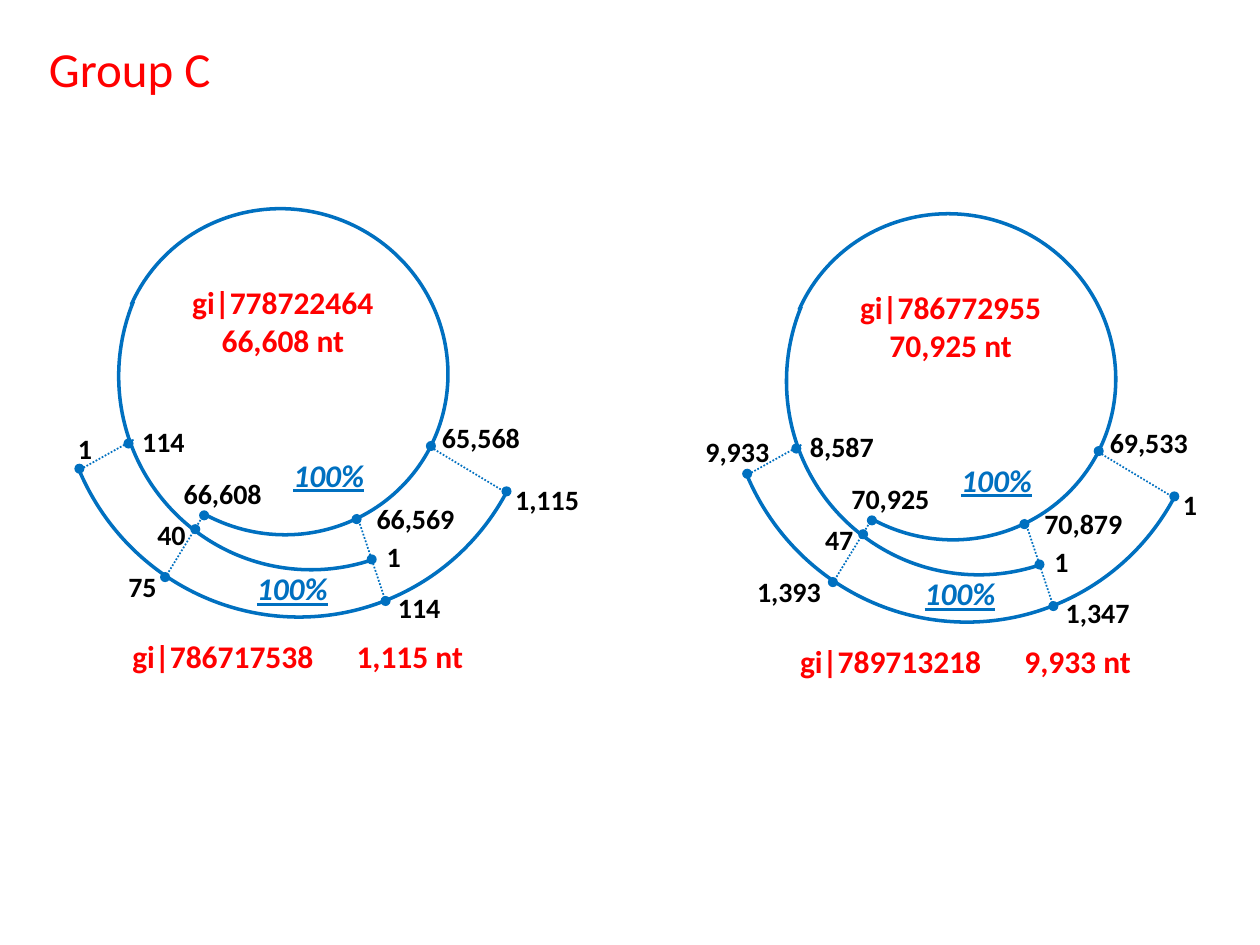
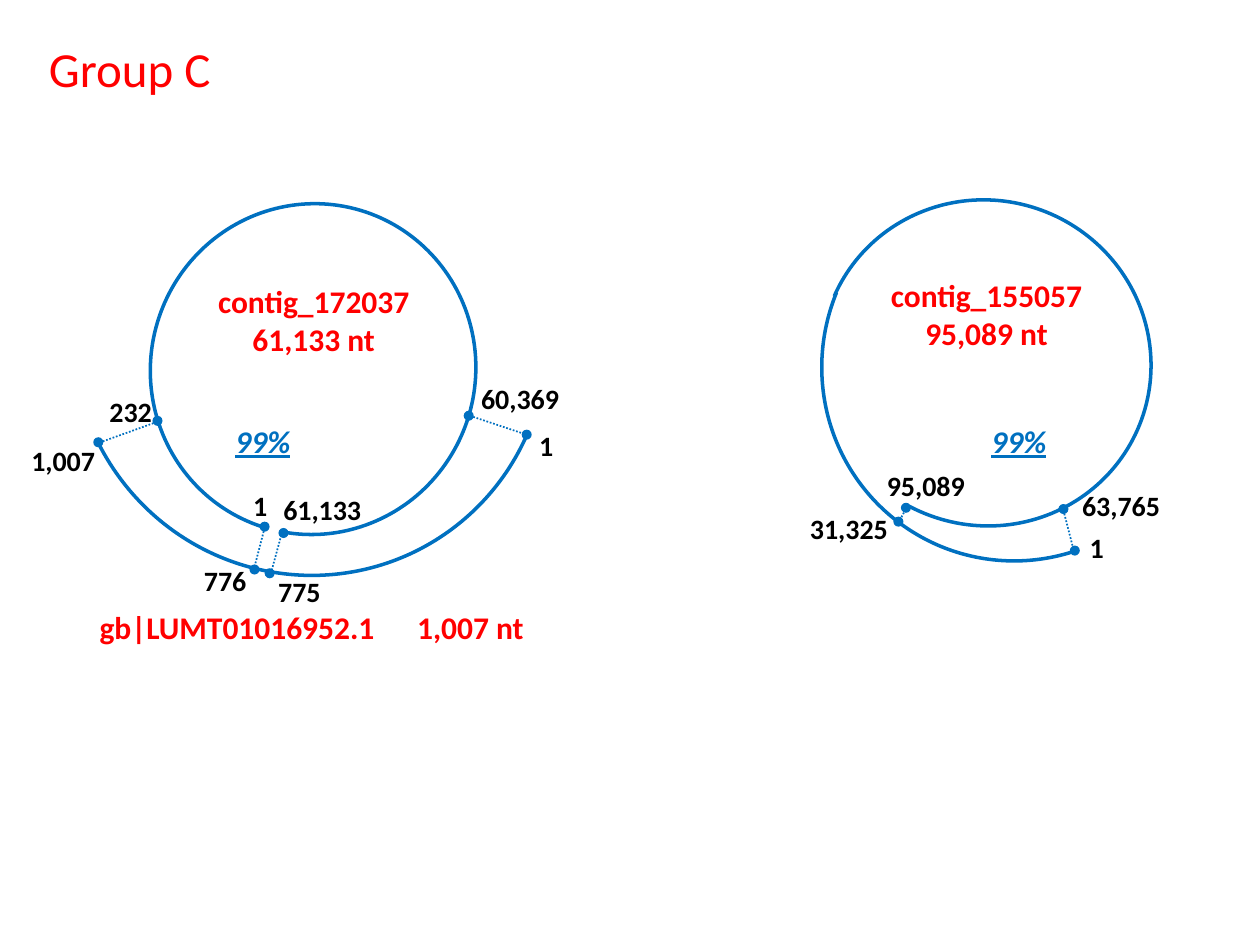
from pptx import Presentation
from pptx.dml.color import RGBColor
from pptx.enum.dml import MSO_LINE
from pptx.enum.shapes import MSO_CONNECTOR, MSO_SHAPE
from pptx.enum.text import MSO_AUTO_SIZE, PP_ALIGN
from pptx.oxml.ns import qn
from pptx.util import Pt
from lxml import etree

ARC, OVAL = MSO_SHAPE.ARC, MSO_SHAPE.OVAL
STRAIGHT = MSO_CONNECTOR.STRAIGHT
DOTTED = MSO_LINE.ROUND_DOT
FIT = MSO_AUTO_SIZE.SHAPE_TO_FIT_TEXT
LEFT, CENTER = PP_ALIGN.LEFT, PP_ALIGN.CENTER

BLUE = RGBColor(0x00, 0x70, 0xC0)
RED = RGBColor(0xFF, 0x00, 0x00)
BLACK = RGBColor(0x00, 0x00, 0x00)
FONT = "Calibri"
PX = 9144  # 100 px to the inch
DOT = 8

# Arc start and end, in the units of the shape's adjustments
CIRCLE_SWEEP = (51.45, 0)
OPEN_SWEEP = (3.02, 0)
OUTER_SWEEP = (162.93, 24.9)


def add_text(shapes, x, y, w, h, text, size, color, bold=True, align=LEFT, wrap=False):
    s = shapes.add_textbox(x * PX, y * PX, w * PX, h * PX)
    tf = s.text_frame
    tf.text = text
    tf.word_wrap = wrap
    tf.auto_size = FIT
    for p in tf.paragraphs:
        p.alignment = align
        for r in p.runs:
            r.font.name = FONT
            r.font.size = Pt(size)
            r.font.bold = bold
            r.font.color.rgb = color
    return s


# Two sequences that share one layout on the first slide
# arcs: x, y, width, height, rotation, sweep
pair_arcs = [
    (93, 166, 263, 258, 23.8, CIRCLE_SWEEP),
    (93, 144, 310, 307, 293.8, OUTER_SWEEP),
    (46, 112, 380, 376, 249.3, OUTER_SWEEP),
]
pair_dots = [(158, 405), (291, 440), (279, 408), (151, 416), (302, 473),
             (98, 348), (398, 386), (59, 368), (127, 454), (338, 350)]
pair_links = [(283, 408, 306, 477), (162, 408, 132, 457),
              (342, 355, 405, 393), (106, 349, 63, 373)]
pair_percents = [("100%", 223, 357), ("100%", 194, 447)]

first_slide = [
    dict(
        offset=(0, 0), arcs=pair_arcs, dots=pair_dots, links=pair_links,
        percents=pair_percents,
        name=("gi|778722464\n66,608 nt", 142, 220, 165),
        caption=("gi|786717538\t1,115 nt", 74, 501, 324, 31, 178),
        positions=[("66,569", 289, 393), ("66,608", 136, 373), ("40", 115, 406),
                   ("1", 297, 423), ("65,568", 341, 329), ("114", 103, 332),
                   ("1", 52, 338), ("75", 92, 447), ("114", 306, 464),
                   ("1,115", 399, 378)],
    ),
    dict(
        offset=(530, 4), arcs=pair_arcs, dots=pair_dots, links=pair_links,
        percents=pair_percents,
        name=("gi|786772955\n70,925 nt", 142, 220, 165),
        caption=("gi|789713218\t9,933 nt", 74, 501, 324, 31, 178),
        positions=[("70,879", 289, 393), ("70,925", 136, 373), ("47", 115, 406),
                   ("1", 297, 423), ("69,533", 341, 329), ("8,587", 103, 332),
                   ("9,933", 20, 336), ("1,393", 61, 447), ("1,347", 306, 464),
                   ("1", 399, 378)],
    ),
]

second_slide = [
    dict(
        offset=(0, 0),
        arcs=[(56, 79, 380, 376, 245.5, OUTER_SWEEP),
              (117, 164, 263, 258, 286.5, OPEN_SWEEP)],
        dots=[(206, 414), (210, 451), (221, 419), (198, 448),
              (121, 330), (414, 341), (74, 347), (368, 326)],
        links=[(224, 422, 215, 455), (210, 419, 202, 450),
               (373, 330, 418, 345), (127, 334, 77, 352)],
        percents=[("99%", 177, 330)],
        name=("contig_172037\n61,133 nt", 162, 219, 174),
        caption=("gb|LUMT01016952.1\t1,007 nt", 52, 478, 391, 27, 252),
        positions=[("61,133", 215, 386), ("1", 191, 383), ("776", 152, 442),
                   ("60,369", 372, 298), ("232", 77, 308), ("1,007", 15, 347),
                   ("775", 211, 451), ("1", 418, 335)],
    ),
    dict(
        offset=(0, 0),
        arcs=[(651, 159, 263, 258, 23.8, CIRCLE_SWEEP),
              (651, 137, 310, 307, 293.8, OUTER_SWEEP)],
        dots=[(715, 399), (849, 433), (840, 400), (709, 410)],
        links=[(844, 405, 853, 440), (720, 402, 713, 415)],
        percents=[("99%", 777, 330)],
        name=("contig_155057\n95,089 nt", 696, 214, 174),
        caption=None,
        positions=[("63,765", 849, 383), ("95,089", 694, 367),
                   ("31,325", 633, 401), ("1", 855, 416)],
    ),
]

prs = Presentation()
prs.slide_width = 1000 * PX
prs.slide_height = 750 * PX

for diagrams in (first_slide, second_slide):
    slide = prs.slides.add_slide(prs.slide_layouts[6])
    add_text(slide.shapes, 29, 26, 221, 57, "Group C", 28, RED, bold=False, wrap=True)

    for d in diagrams:
        shapes = slide.shapes.add_group_shape().shapes
        dx, dy = d["offset"]

        # Sequence arcs
        for x, y, w, h, rotation, sweep in d["arcs"]:
            s = shapes.add_shape(ARC, (x + dx) * PX, (y + dy) * PX, w * PX, h * PX)
            s.adjustments[0], s.adjustments[1] = sweep
            s.rotation = rotation
            s._element.spPr.find(qn("a:xfrm")).set("flipH", "1")
            s.shadow.inherit = False
            s.fill.background()
            s.line.color.rgb = BLUE
            s.line.width = Pt(2)

        # Match boundaries
        for x, y in d["dots"]:
            s = shapes.add_shape(OVAL, (x + dx) * PX, (y + dy) * PX, DOT * PX, DOT * PX)
            s.shadow.inherit = False
            s.fill.solid()
            s.fill.fore_color.rgb = BLUE
            s.line.fill.background()

        # Dotted links between matching positions
        for x1, y1, x2, y2 in d["links"]:
            s = shapes.add_connector(STRAIGHT, (x1 + dx) * PX, (y1 + dy) * PX,
                                     (x2 + dx) * PX, (y2 + dy) * PX)
            s.line.color.rgb = BLUE
            s.line.width = Pt(1)
            s.line.dash_style = DOTTED
            etree.SubElement(s._element.spPr, qn("a:effectLst"))

        # Position numbers, boxes as wide as their digits and commas
        for text, x, y in d["positions"]:
            commas = text.count(",")
            w = 21 + 11 * (len(text) - commas) + 7 * commas
            add_text(shapes, x + dx, y + dy, w, 37, text, 16, BLACK)

        # Identity percentages
        for text, x, y in d["percents"]:
            s = add_text(shapes, x + dx, y + dy, 25 + 13 * len(text), 40, text, 18, BLUE)
            font = s.text_frame.paragraphs[0].runs[0].font
            font.italic = True
            font.underline = True

        # Name and length inside the circle
        text, x, y, w = d["name"]
        add_text(shapes, x + dx, y + dy, w, 71, text, 18, RED, align=CENTER)

        # Name and length of the outer sequence, parted by a tab stop
        if d["caption"]:
            text, x, y, w, indent, tab = d["caption"]
            s = add_text(shapes, x + dx, y + dy, w, 40, text, 18, RED, wrap=True)
            s.text_frame.margin_left = indent * PX
            s.text_frame.margin_right = 0
            pPr = s.text_frame.paragraphs[0]._p.get_or_add_pPr()
            tabs = etree.SubElement(pPr, qn("a:tabLst"))
            etree.SubElement(tabs, qn("a:tab"), pos=str(tab * PX), algn="l")

prs.save("out.pptx")
